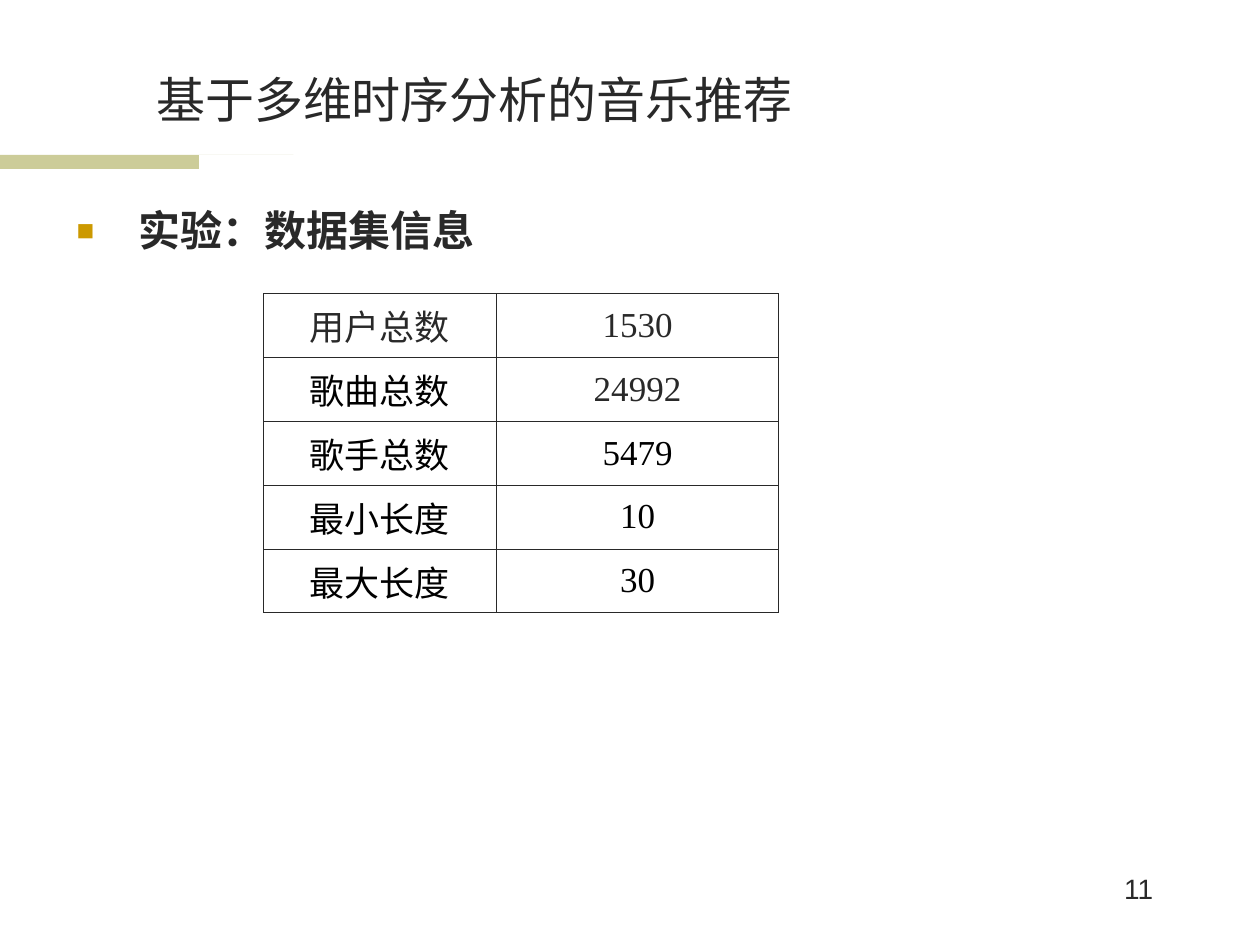
import pptx
import pptx.dml.color
import pptx.enum.lang
import pptx.enum.shapes
import pptx.enum.text
import pptx.oxml
import pptx.oxml.ns
import pptx.util

INK = pptx.dml.color.RGBColor(0x29, 0x29, 0x29)
BLACK = pptx.dml.color.RGBColor(0x00, 0x00, 0x00)
WHITE = pptx.dml.color.RGBColor(0xFF, 0xFF, 0xFF)
SAGE = pptx.dml.color.RGBColor(0xCC, 0xCC, 0x99)
GOLD = pptx.dml.color.RGBColor(0xCC, 0x99, 0x00)

ALIGN = pptx.enum.text.PP_ALIGN
ANCHOR = pptx.enum.text.MSO_ANCHOR
CHINESE = pptx.enum.lang.MSO_LANGUAGE_ID.SIMPLIFIED_CHINESE

DATASET = [
    ("用户总数", INK, "1530", INK),
    ("歌曲总数", BLACK, "24992", INK),
    ("歌手总数", BLACK, "5479", BLACK),
    ("最小长度", BLACK, "10", BLACK),
    ("最大长度", BLACK, "30", BLACK),
]


class SlideBuilder:
    """Style and current slide, with lengths in a grid of 100 columns by 75 rows."""

    def __init__(self, deck):
        self.slide = deck.slides.add_slide(deck.slide_layouts[5])
        self.column = deck.slide_width / 100
        self.row = deck.slide_height / 75

    def place(self, left, top, width, height):
        return (round(left * self.column), round(top * self.row),
                round(width * self.column), round(height * self.row))

    def add_span(self, para, text, size, color=INK, font="Arial", bold=False):
        span = para.add_run()
        span.text = text
        span.font.size = pptx.util.Pt(size)
        span.font.name = font
        span.font.bold = bold
        span.font.color.rgb = color
        span.font.language_id = CHINESE

    def title(self, text, *area):
        box = self.slide.shapes.title
        box.left, box.top, box.width, box.height = self.place(*area)
        box.text_frame.vertical_anchor = ANCHOR.BOTTOM
        box.text_frame.auto_size = pptx.enum.text.MSO_AUTO_SIZE.NONE
        para = box.text_frame.paragraphs[0]
        para.alignment = ALIGN.LEFT
        self.add_span(para, text, 28)

    def bar(self, color, *area):
        rectangle = pptx.enum.shapes.MSO_SHAPE.RECTANGLE
        shape = self.slide.shapes.add_shape(rectangle, *self.place(*area))
        shape.shadow.inherit = False
        shape.fill.solid()
        shape.fill.fore_color.rgb = color
        shape.line.fill.background()

    def text(self, text, size, *area, align=ALIGN.LEFT, bold=False):
        box = self.slide.shapes.add_textbox(*self.place(*area))
        box.text_frame.word_wrap = True
        para = box.text_frame.paragraphs[0]
        para.alignment = align
        self.add_span(para, text, size, bold=bold)
        return para

    def bullet(self, text, size, *area):
        para = self.text(text, size, *area, bold=True)
        para.line_spacing = 0.9
        para.space_before = pptx.util.Pt(6)
        properties = para._p.get_or_add_pPr()
        indent = round(4.9 * self.column)
        properties.set("marL", str(indent))
        properties.set("indent", str(-indent))
        namespace = pptx.oxml.ns.nsdecls("a")
        for mark in (
            f'<a:buClr {namespace}><a:srgbClr val="{GOLD}"/></a:buClr>',
            f'<a:buSzPct {namespace} val="70000"/>',
            f'<a:buFont {namespace} typeface="Arial"/>',
            f'<a:buChar {namespace} char="■"/>',
        ):
            properties.append(pptx.oxml.parse_xml(mark))

    def border(self, cell):
        properties = cell._tc.get_or_add_tcPr()
        for position, side in enumerate(("lnL", "lnR", "lnT", "lnB")):
            properties.insert(position, pptx.oxml.parse_xml(
                f'<a:{side} {pptx.oxml.ns.nsdecls("a")} w="{pptx.util.Pt(0.45)}">'
                f'<a:solidFill><a:srgbClr val="{INK}"/></a:solidFill></a:{side}>'))

    def cell(self, cell, text, color, font):
        cell.fill.solid()
        cell.fill.fore_color.rgb = WHITE
        cell.vertical_anchor = ANCHOR.MIDDLE
        para = cell.text_frame.paragraphs[0]
        para.alignment = ALIGN.CENTER
        para.space_before = pptx.util.Pt(5)
        self.add_span(para, text, 20, color, font)
        self.border(cell)

    def table(self, records, left, top, widths, height):
        area = self.place(left, top, sum(widths), height * len(records))
        frame = self.slide.shapes.add_table(len(records), len(widths), *area)
        table = frame.table
        table.first_row = table.horz_banding = False
        for column, width in zip(table.columns, widths):
            column.width = round(width * self.column)
        for row, (label, label_color, value, value_color) in zip(table.rows, records):
            row.height = round(height * self.row)
            self.cell(row.cells[0], label, label_color, "Calibri")
            self.cell(row.cells[1], value, value_color, "Times New Roman")


def main():
    deck = pptx.Presentation()
    deck.slide_width = pptx.util.Inches(10)
    deck.slide_height = pptx.util.Inches(7.5)
    page = SlideBuilder(deck)
    page.bar(SAGE, 0, 12.3, 23.3, 1.1)
    page.bar(WHITE, 15.8, 12.3, 79.2, 1.1)
    page.title("基于多维时序分析的音乐推荐", 11.4, 4.4, 61.4, 6.3)
    page.bullet("实验：数据集信息", 24, 5.1, 16.2, 73.2, 48)
    page.table(DATASET, 20.9, 23.3, (18.5, 22.4), 5.07)
    page.text("11", 16, 82.3, 68.7, 10.2, 5, align=ALIGN.RIGHT)
    deck.save("out.pptx")


if __name__ == "__main__":
    main()
